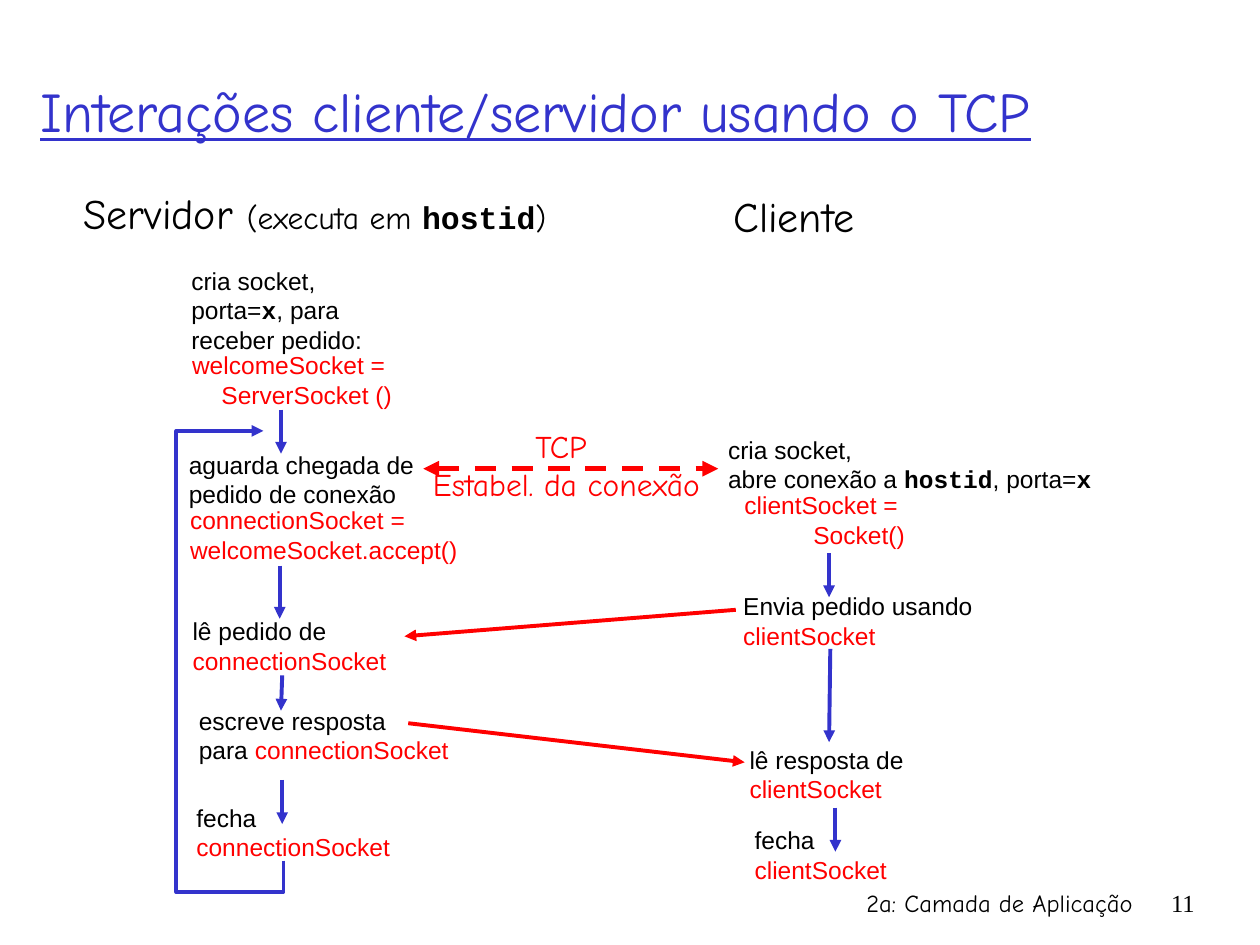
from lxml import etree
from pptx import Presentation
from pptx.dml.color import RGBColor
from pptx.enum.dml import MSO_LINE
from pptx.enum.shapes import MSO_CONNECTOR
from pptx.enum.text import MSO_ANCHOR, MSO_AUTO_SIZE, PP_ALIGN
from pptx.oxml.ns import qn
from pptx.util import Inches, Pt

BLACK = RGBColor(0x00, 0x00, 0x00)
BLUE = RGBColor(0x33, 0x33, 0xCC)
RED = RGBColor(0xFF, 0x00, 0x00)
SANS, COMIC, MONO, SERIF = "Arial", "Comic Neue", "Courier New", "Times New Roman"
LEFT, CENTER, RIGHT = PP_ALIGN.LEFT, PP_ALIGN.CENTER, PP_ALIGN.RIGHT
TOP, MIDDLE = MSO_ANCHOR.TOP, MSO_ANCHOR.MIDDLE
STRAIGHT, DASH = MSO_CONNECTOR.STRAIGHT, MSO_LINE.DASH
FIT = MSO_AUTO_SIZE.SHAPE_TO_FIT_TEXT

CODE = {"font": MONO, "bold": True}
CALL = {"color": RED}
SLACK = 0.06  # spare width that keeps each step's lines unbroken


def format_run(r, text, size=14, font=SANS, color=BLACK, bold=False, underline=False):
    r.text = text
    r.font.size, r.font.name = Pt(size), font
    r.font.color.rgb = color
    r.font.bold, r.font.underline = bold, underline


class Diagram:
    """Holds the style and the current slide."""

    def __init__(self, slide):
        self.s = slide

    def title(self, text, x, y, w, h):
        sp = self.s.shapes.title
        sp.left, sp.top, sp.width, sp.height = map(Inches, (x, y, w, h))
        tf = sp.text_frame
        tf.vertical_anchor = MIDDLE
        p = tf.paragraphs[0]
        p.alignment = LEFT
        format_run(p.add_run(), text, size=32, font=COMIC, color=BLUE, underline=True)

    def text(self, x, y, w, h, lines, align=LEFT, anchor=MIDDLE, before=0, **style):
        """Each line is a string or a list of strings and (string, format) pairs."""
        tf = self.s.shapes.add_textbox(*map(Inches, (x, y, w, h))).text_frame
        tf.word_wrap, tf.vertical_anchor = True, anchor
        if anchor == MIDDLE:
            tf.auto_size = FIT
        for i, line in enumerate(lines):
            p = tf.add_paragraph() if i else tf.paragraphs[0]
            p.alignment, p.space_before = align, Pt(before)
            for part in [line] if isinstance(line, str) else line:
                text, extra = (part, {}) if isinstance(part, str) else part
                format_run(p.add_run(), text, **{**style, **extra})

    def step(self, x, y, w, lines, align=LEFT, h=0.57, **style):
        left = x - SLACK if align == RIGHT else x
        self.text(left, y, w + SLACK, h, lines, align=align, **style)

    def line_style(self, sp, color, width, ends):
        sp.line.color.rgb, sp.line.width = color, Pt(width)
        ln = sp.line._get_or_add_ln()
        for end in ends:
            etree.SubElement(ln, qn("a:" + end), type="triangle")

    def arrow(self, x1, y1, x2, y2, color=BLUE, width=2.25, dash=None, ends=("tailEnd",)):
        c = self.s.shapes.add_connector(STRAIGHT, *map(Inches, (x1, y1, x2, y2)))
        if dash:
            c.line.dash_style = dash
        self.line_style(c, color, width, ends)
        etree.SubElement(c._element.spPr, qn("a:effectLst"))

    def path_arrow(self, points):
        pts = [(Inches(x), Inches(y)) for x, y in points]
        fb = self.s.shapes.build_freeform(*pts[0])
        fb.add_line_segments(pts[1:], close=False)
        sp = fb.convert_to_shape()
        sp.fill.background()
        sp.shadow.inherit = False
        self.line_style(sp, BLUE, 2.25, ("tailEnd",))


def main():
    prs = Presentation()
    prs.slide_width, prs.slide_height = Inches(10), Inches(7.5)
    d = Diagram(prs.slides.add_slide(prs.slide_layouts[5]))

    # Title, footer and column headings
    d.title("Interações cliente/servidor usando o TCP", 0.22, 0.25, 9.78, 1.25)
    footer = {"align": RIGHT, "anchor": TOP}
    d.text(5.92, 7, 3.17, 0.5, ["2a: Camada de Aplicação"], font=COMIC, **footer)
    d.text(9.08, 7, 0.5, 0.5, ["11"], font=SERIF, **footer)
    heading = {"align": CENTER, "font": COMIC, "size": 24}
    small = {"size": 18}
    d.text(0.56, 1.44, 3.88, 0.5,
           [["Servidor ", ("(executa em ", small), ("hostid", {**small, **CODE}), (")", small)]],
           before=11.2, **heading)
    d.text(5.72, 1.46, 1.16, 0.5, ["Cliente"], before=15, **heading)

    # Server steps
    d.step(1.42, 2.06, 1.55,
           ["cria socket,", ["porta=", ("x", CODE), ", para"], "receber pedido:"], h=0.8)
    d.step(1.42, 2.73, 1.79, ["welcomeSocket = ", "ServerSocket ()"], align=RIGHT, **CALL)
    d.step(1.4, 3.52, 2.04, ["aguarda chegada de", "pedido de conexão"])
    d.step(1.41, 3.96, 2.32, ["connectionSocket =", "welcomeSocket.accept()"], **CALL)
    connection = ("connectionSocket", CALL)
    d.step(1.43, 4.84, 1.74, ["lê pedido de", [connection]])
    d.step(1.48, 5.55, 2.18, ["escreve resposta", ["para ", connection]])
    d.step(1.46, 6.32, 1.74, ["fecha", [connection]])

    # Client steps
    d.step(5.68, 3.4, 3.08,
           ["cria socket,", ["abre conexão a ", ("hostid", CODE), ", porta=", ("x", CODE)]])
    d.step(5.81, 3.84, 1.47, ["clientSocket = ", "Socket()"], align=RIGHT, **CALL)
    for x, y, w, action in [(5.8, 4.64, 2.02, "Envia pedido usando"),
                            (5.85, 5.86, 1.42, "lê resposta de"),
                            (5.89, 6.5, 1.25, "fecha")]:
        d.step(x, y, w, [action, [("clientSocket", CALL)]])

    # Flow within each column, and the server's loop
    for ends in [(2.23, 3.25, 2.23, 3.6), (2.22, 4.49, 2.22, 4.91),
                 (2.24, 5.36, 2.23, 5.64), (2.24, 6.19, 2.24, 6.54),
                 (6.58, 4.39, 6.58, 4.74), (6.59, 5.15, 6.58, 5.89),
                 (6.63, 6.41, 6.63, 6.76)]:
        d.arrow(*ends)
    d.path_arrow([(2.25, 6.83), (2.25, 7.08), (1.4, 7.08), (1.4, 3.42), (2.09, 3.42)])

    # Messages between client and server
    d.arrow(5.84, 4.84, 3.21, 5.05, color=RED)
    d.arrow(3.24, 5.74, 5.91, 6.05, color=RED)
    d.arrow(3.36, 3.72, 5.7, 3.72, color=RED, width=3, dash=DASH, ends=("headEnd", "tailEnd"))
    d.text(3.33, 3.34, 2.33, 0.7, ["TCP ", "Estabel. da conexão"],
           align=CENTER, font=COMIC, size=18, **CALL)

    prs.save("out.pptx")


if __name__ == "__main__":
    main()
